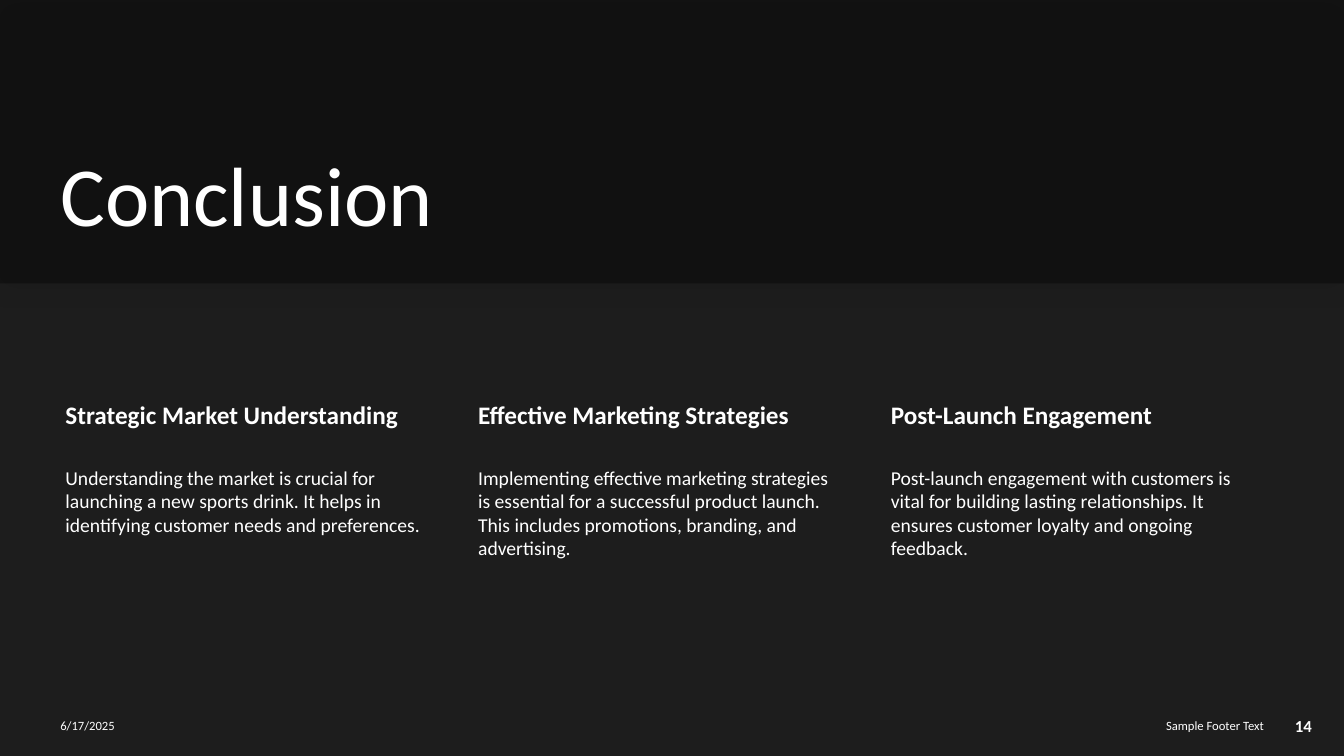
from lxml.etree import SubElement
from pptx import Presentation
from pptx.dml.color import RGBColor
from pptx.enum.shapes import MSO_SHAPE
from pptx.enum.text import MSO_ANCHOR, PP_ALIGN
from pptx.oxml import parse_xml
from pptx.oxml.ns import nsdecls, qn
from pptx.util import Cm, Pt


def paint(fill, color):
    fill.solid()
    fill.fore_color.rgb = RGBColor.from_string(color)


def add_text(left, top, width, height, text, size, bold=False, anchor=MSO_ANCHOR.TOP,
             align=PP_ALIGN.LEFT, insets=(0.25, 0.13, 0.25, 0.13)):
    """Add a white one-paragraph text box; lengths in cm, insets left, top, right, bottom."""
    tf = s.shapes.add_textbox(Cm(left), Cm(top), Cm(width), Cm(height)).text_frame
    tf.word_wrap = True
    tf.vertical_anchor = anchor
    tf.margin_left, tf.margin_top, tf.margin_right, tf.margin_bottom = map(Cm, insets)
    p = tf.paragraphs[0]
    p.text = text
    p.alignment = align
    p.font.name = "Calibri"
    p.font.size = Pt(size)
    p.font.bold = bold
    paint(p.font.fill, "FFFFFF")
    return p


prs = Presentation()
prs.slide_width, prs.slide_height = Cm(33.87), Cm(19.05)
s = prs.slides.add_slide(prs.slide_layouts[6])
paint(s.background.fill, "1D1D1D")

# Translucent title band with a soft shadow
band = s.shapes.add_shape(MSO_SHAPE.RECTANGLE, 0, 0, prs.slide_width, Cm(7.14))
paint(band.fill, "090909")
band.line.fill.background()
band_color = band.fill._xPr.find(qn("a:solidFill"))[0]
SubElement(band_color, qn("a:alpha"), val="50000")
band._element.spPr.append(parse_xml(
    f'<a:effectLst {nsdecls("a")}>'
    f'<a:outerShdw blurRad="{Pt(18)}" dist="{Pt(2)}" dir="5400000" rotWithShape="0">'
    '<a:srgbClr val="000000"><a:alpha val="15000"/></a:srgbClr>'
    '</a:outerShdw></a:effectLst>'))

title = add_text(1.27, 2.31, 29.16, 3.99, "Conclusion", 60, anchor=MSO_ANCHOR.BOTTOM)
title.line_spacing = 0.9

# Three takeaways
takeaways = [
    ("Strategic Market Understanding",
     "Understanding the market is crucial for launching a new sports drink. "
     "It helps in identifying customer needs and preferences."),
    ("Effective Marketing Strategies",
     "Implementing effective marketing strategies is essential for a successful product launch. "
     "This includes promotions, branding, and advertising."),
    ("Post-Launch Engagement",
     "Post-launch engagement with customers is vital for building lasting relationships. "
     "It ensures customer loyalty and ongoing feedback."),
]
for i, (heading, body) in enumerate(takeaways):
    left = 1.27 + 10.4 * i
    add_text(left, 9.98, 9.45, 1.7, heading, 18, bold=True, insets=(0.38, 0.08, 0.08, 0.08))
    add_text(left, 11.68, 9.45, 5.92, body, 14, insets=(0.38, 0.05, 0.05, 0.05))

# Date, footer and slide number
for left, width, text, size, bold, align in [
    (1.27, 11.23, "6/17/2025", 9, False, PP_ALIGN.LEFT),
    (23.11, 8.99, "Sample Footer Text", 9, False, PP_ALIGN.RIGHT),
    (32.11, 1.47, "14", 12, True, PP_ALIGN.CENTER),
]:
    add_text(left, 17.78, width, 1.02, text, size, bold, MSO_ANCHOR.MIDDLE, align)

prs.save("out.pptx")
